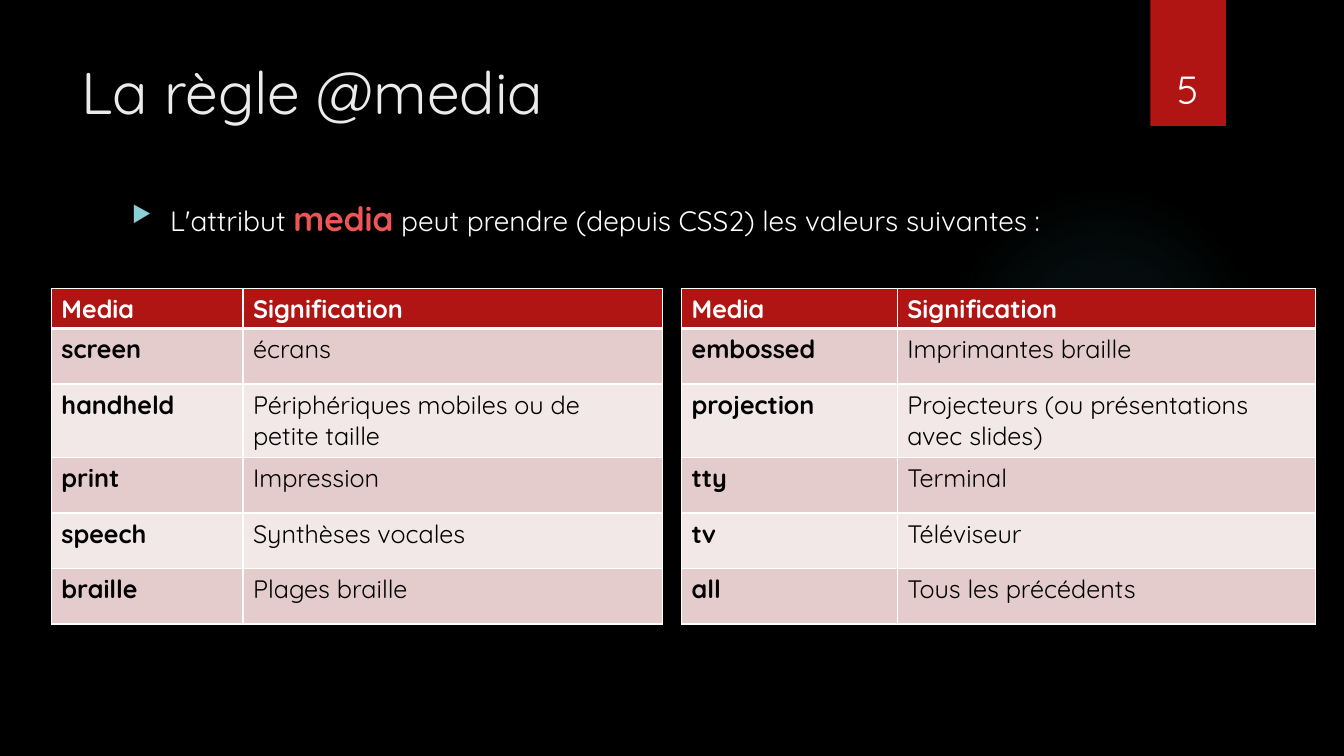
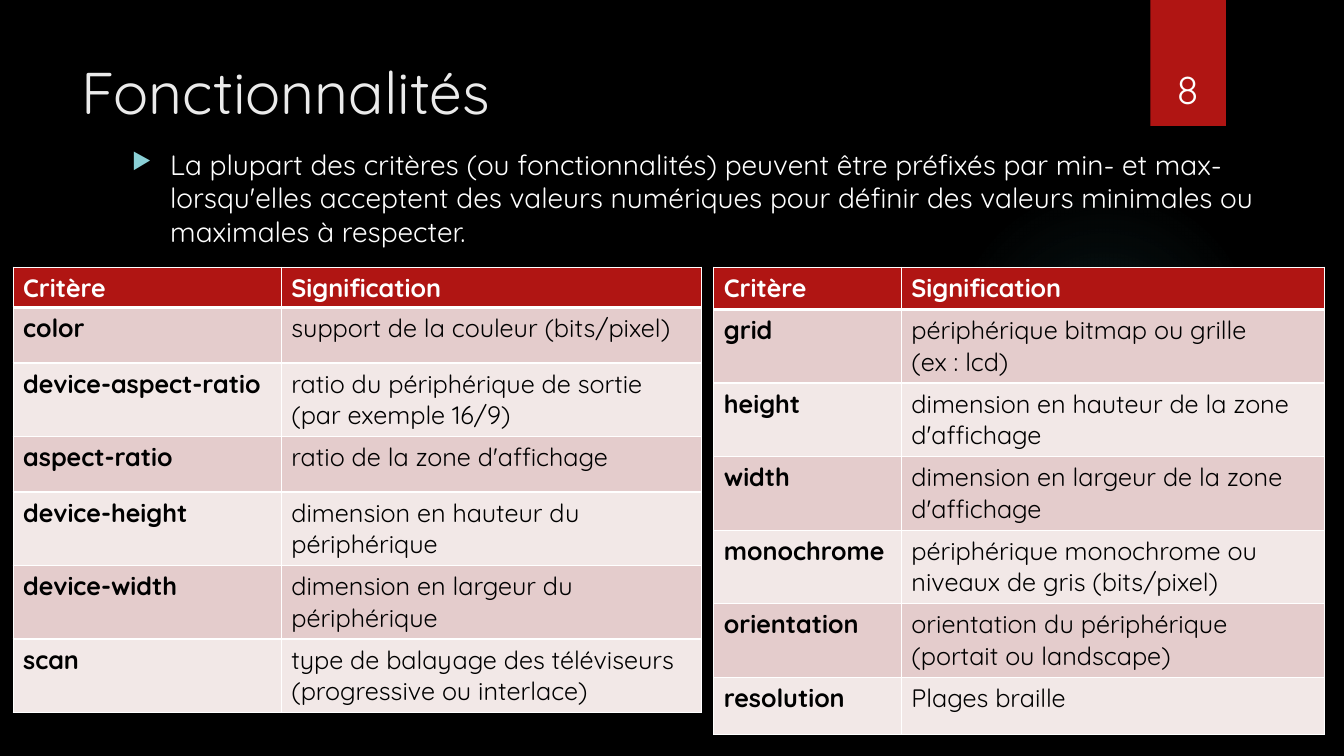
from dataclasses import dataclass

from lxml import etree
from pptx import Presentation
from pptx.dml.color import RGBColor
from pptx.enum.shapes import MSO_SHAPE
from pptx.enum.text import MSO_ANCHOR, PP_ALIGN
from pptx.oxml import parse_xml
from pptx.oxml.ns import nsdecls, qn
from pptx.util import Emu, Pt

RECTANGLE = MSO_SHAPE.RECTANGLE
OVAL = MSO_SHAPE.OVAL
TOP = MSO_ANCHOR.TOP
BOTTOM = MSO_ANCHOR.BOTTOM
LEFT = PP_ALIGN.LEFT
CENTER = PP_ALIGN.CENTER
BLANK_LAYOUT = 6
EMU_PER_PX = 9144  # 100 px to the inch


@dataclass(frozen=True)
class Theme:
    font: str = "Quicksand"
    background: str = "000000"
    accent: str = "B01513"
    title: str = "EBEBEB"
    light: str = "FFFFFF"
    dark: str = "000000"
    emphasis: str = "ED5654"
    bullet: str = "8AD0D6"
    glow: str = "50B9C1"
    bands: tuple = ("E4CCCC", "F2E8E7")
    title_size: int = 42
    number_size: int = 28
    emphasis_size: int = 24
    body_size: int = 20
    table_size: int = 18
    border: int = 1
    header_border: int = 3


THEME = Theme()


def px(value):
    return Emu(value * EMU_PER_PX)


def style_font(font, size, color, bold=False):
    font.name = THEME.font
    font.size = Pt(size)
    font.color.rgb = RGBColor.from_string(color)
    font.bold = bold


# Text
def add_text_box(slide, box, anchor=TOP):
    frame = slide.shapes.add_textbox(*map(px, box)).text_frame
    frame.word_wrap = True
    frame.vertical_anchor = anchor
    return frame.paragraphs[0]


def add_label(slide, box, text, size, color, align=LEFT, anchor=TOP):
    paragraph = add_text_box(slide, box, anchor)
    paragraph.text = text
    paragraph.alignment = align
    style_font(paragraph.font, size, color)


def add_bullet(slide, box, parts):
    """Parts alternate between plain and emphasised text."""
    paragraph = add_text_box(slide, box)
    properties = paragraph._p.get_or_add_pPr()
    properties.set("marL", str(px(38)))
    properties.set("indent", str(px(-38)))
    color = etree.SubElement(properties, qn("a:buClr"))
    etree.SubElement(color, qn("a:srgbClr"), val=THEME.bullet)
    etree.SubElement(properties, qn("a:buSzPct"), val="80000")
    etree.SubElement(properties, qn("a:buChar"), char="▶")
    for index, text in enumerate(parts):
        run = paragraph.add_run()
        run.text = text
        if index % 2:
            style_font(run.font, THEME.emphasis_size, THEME.emphasis, bold=True)
        else:
            style_font(run.font, THEME.body_size, THEME.light)


# Decoration shared by all slides
def add_plain_shape(slide, kind, box):
    shape = slide.shapes.add_shape(kind, *map(px, box))
    shape.shadow.inherit = False
    shape.line.fill.background()
    return shape


def add_glow(slide):
    shape = add_plain_shape(slide, OVAL, (941, 183, 308, 308))
    stops = "".join(
        f'<a:gs pos="{position * 1000}"><a:srgbClr val="{THEME.glow}">'
        f'<a:alpha val="{opacity * 1000}"/></a:srgbClr></a:gs>'
        for position, opacity in ((0, 7), (36, 6), (69, 0))
    )
    gradient = parse_xml(
        f'<a:gradFill {nsdecls("a")}><a:gsLst>{stops}</a:gsLst><a:path path="circle">'
        '<a:fillToRect l="50000" t="50000" r="50000" b="50000"/></a:path></a:gradFill>'
    )
    shape._element.spPr.find(qn("a:prstGeom")).addnext(gradient)


def add_base_slide(presentation, title, number):
    slide = presentation.slides.add_slide(presentation.slide_layouts[BLANK_LAYOUT])
    add_glow(slide)
    ribbon = add_plain_shape(slide, RECTANGLE, (1141, 0, 75, 125))
    ribbon.fill.solid()
    ribbon.fill.fore_color.rgb = RGBColor.from_string(THEME.accent)
    add_label(slide, (71, 50, 1029, 153), title, THEME.title_size, THEME.title)
    add_label(slide, (1132, 32, 92, 84), str(number), THEME.number_size,
              THEME.light, CENTER, BOTTOM)
    return slide


# Tables
def set_borders(cell, row_index):
    thick_side = {0: "B", 1: "T"}.get(row_index)
    properties = cell._tc.get_or_add_tcPr()
    for side in "LRTB":
        width = THEME.header_border if side == thick_side else THEME.border
        line = etree.SubElement(properties, qn(f"a:ln{side}"), w=str(Pt(width)))
        fill = etree.SubElement(line, qn("a:solidFill"))
        etree.SubElement(fill, qn("a:srgbClr"), val=THEME.light)


def fill_cell(cell, text, row_index, column_index):
    is_header = row_index == 0
    set_borders(cell, row_index)
    background = THEME.accent if is_header else THEME.bands[(row_index - 1) % 2]
    cell.fill.solid()
    cell.fill.fore_color.rgb = RGBColor.from_string(background)
    cell.text = text
    for paragraph in cell.text_frame.paragraphs:
        style_font(paragraph.font, THEME.table_size,
                   THEME.light if is_header else THEME.dark,
                   bold=is_header or column_index == 0)


def add_glossary(slide, position, column_widths, row_heights, rows):
    size = (sum(column_widths), sum(row_heights))
    table = slide.shapes.add_table(
        len(rows), len(column_widths), *map(px, position + size)).table
    table.horz_banding = False
    for column, width in zip(table.columns, column_widths):
        column.width = px(width)
    for row_index, (row, height) in enumerate(zip(rows, row_heights)):
        table.rows[row_index].height = px(height)
        for column_index, text in enumerate(row):
            fill_cell(table.cell(row_index, column_index), text,
                      row_index, column_index)


# Slides
def build_media_slide(presentation):
    slide = add_base_slide(presentation, "La règle @media", 5)
    add_bullet(slide, (121, 191, 978, 148), (
        "L'attribut ", "media", " peut prendre (depuis CSS2) les valeurs suivantes :"))
    header = ("Media", "Signification")
    heights = (40, 55, 73, 55, 55, 55)
    add_glossary(slide, (51, 286), (190, 416), heights, (
        header,
        ("screen", "écrans"),
        ("handheld", "Périphériques mobiles ou de petite taille"),
        ("print", "Impression"),
        ("speech", "Synthèses vocales"),
        ("braille", "Plages braille"),
    ))
    add_glossary(slide, (676, 286), (214, 415), heights, (
        header,
        ("embossed", "Imprimantes braille"),
        ("projection", "Projecteurs (ou présentations avec slides)"),
        ("tty", "Terminal"),
        ("tv", "Téléviseur"),
        ("all", "Tous les précédents"),
    ))


def build_features_slide(presentation):
    slide = add_base_slide(presentation, "Fonctionnalités", 8)
    add_bullet(slide, (121, 141, 1158, 124), (
        "La plupart des critères (ou fonctionnalités) peuvent être préfixés par "
        "min- et max- lorsqu'elles acceptent des valeurs numériques pour définir "
        "des valeurs minimales ou maximales à respecter.",))
    header = ("Critère", "Signification")
    add_glossary(slide, (13, 265), (266, 417), (40, 55, 73, 55, 73, 73, 73), (
        header,
        ("color", "support de la couleur (bits/pixel)"),
        ("device-aspect-ratio", "ratio du périphérique de sortie (par exemple 16/9)"),
        ("aspect-ratio", "ratio de la zone d'affichage"),
        ("device-height", "dimension en hauteur du périphérique"),
        ("device-width", "dimension en largeur du périphérique"),
        ("scan", "type de balayage des téléviseurs (progressive ou interlace)"),
    ))
    add_glossary(slide, (708, 265), (186, 420), (42, 73, 73, 73, 73, 73, 57), (
        header,
        ("grid", "périphérique bitmap ou grille\n(ex : lcd)"),
        ("height", "dimension en hauteur de la zone d'affichage"),
        ("width", "dimension en largeur de la zone d'affichage"),
        ("monochrome", "périphérique monochrome ou niveaux de gris (bits/pixel)"),
        ("orientation", "orientation du périphérique (portait ou landscape)"),
        ("resolution", "Plages braille"),
    ))


def main():
    presentation = Presentation()
    presentation.slide_width = px(1333)
    presentation.slide_height = px(750)
    background = presentation.slide_master.background.fill
    background.solid()
    background.fore_color.rgb = RGBColor.from_string(THEME.background)
    build_media_slide(presentation)
    build_features_slide(presentation)
    presentation.save("out.pptx")


if __name__ == "__main__":
    main()
